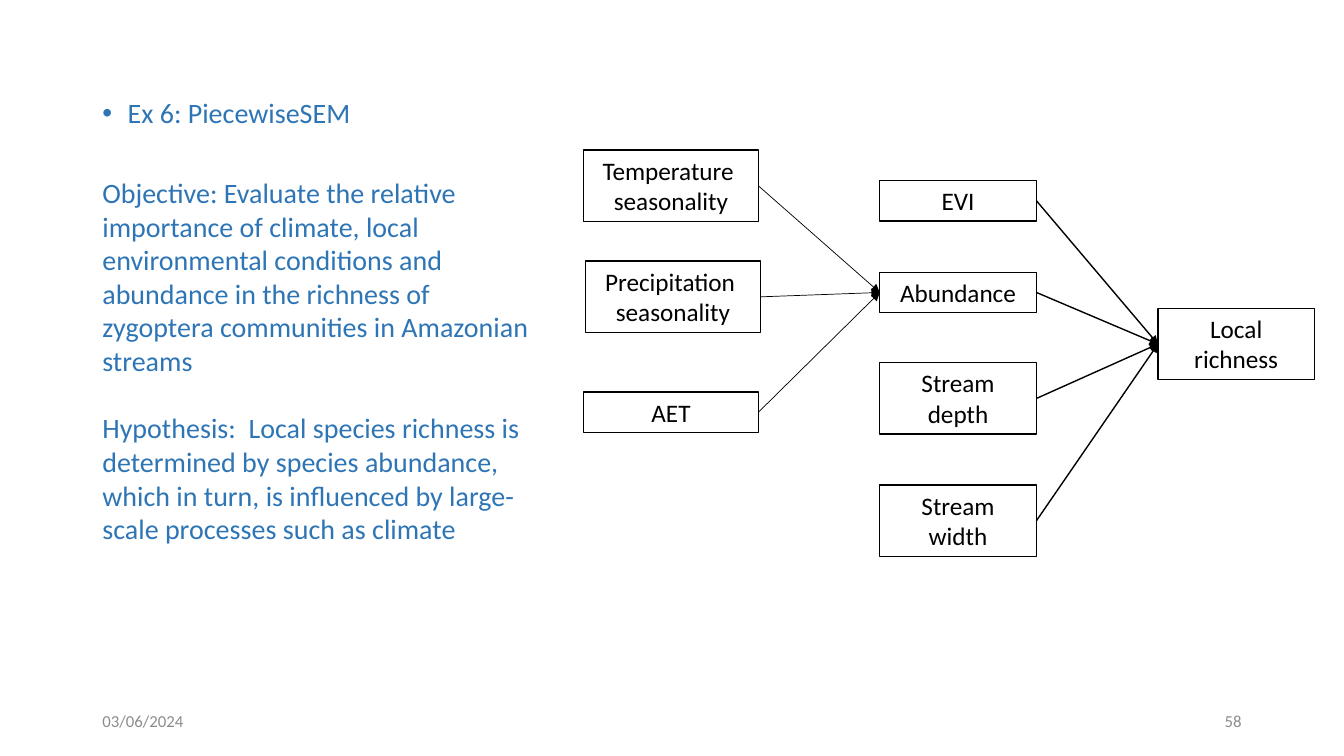
"""Build a slide with a study hypothesis and its path diagram of species richness."""
from lxml.etree import SubElement
from pptx import Presentation
from pptx.dml.color import RGBColor
from pptx.enum.shapes import MSO_CONNECTOR as Connector, MSO_SHAPE as Shape
from pptx.enum.text import MSO_ANCHOR as Anchor, MSO_AUTO_SIZE as AutoSize, PP_ALIGN as Align
from pptx.oxml.ns import qn
from pptx.util import Cm, Pt


def paint(color_format, hex_color):
    """Set a colour from a hex string."""
    color_format.rgb = RGBColor.from_string(hex_color)


def add_text(paragraph, text, size, hex_color, alignment=Align.LEFT):
    """Add one Calibri run to a paragraph."""
    paragraph.alignment = alignment
    run = paragraph.add_run()
    run.text = text
    run.font.name = "Calibri"
    run.font.size = Pt(size)
    paint(run.font.color, hex_color)


presentation = Presentation()
presentation.slide_width = Cm(33.87)
presentation.slide_height = Cm(19.05)
slide = presentation.slides.add_slide(presentation.slide_layouts[6])

body = slide.shapes.add_textbox(Cm(2.33), Cm(2.39), Cm(11.28), Cm(14.78)).text_frame
body.word_wrap = True
heading = body.paragraphs[0]
heading.line_spacing = 0.9
properties = heading._p.get_or_add_pPr()
properties.set("marL", str(Cm(0.64)))
properties.set("indent", str(-Cm(0.64)))
SubElement(properties, qn("a:buFont"), typeface="Arial")
SubElement(properties, qn("a:buChar"), char="•")
add_text(heading, "Ex 6: PiecewiseSEM", 20, "2E75B6")

statements = [
    ("Objective: Evaluate the relative importance of climate, local environmental "
     "conditions and abundance in the richness of zygoptera communities in "
     "Amazonian streams", 32.5),
    ("Hypothesis:  Local species richness is determined by species abundance, which "
     "in turn, is influenced by large-scale processes such as climate", 24),
]
for text, space_before in statements:
    paragraph = body.add_paragraph()
    paragraph.space_before = Pt(space_before)
    add_text(paragraph, text, 20, "2E75B6")

for left, text, alignment in [(2.33, "03/06/2024", Align.LEFT), (23.92, "58", Align.RIGHT)]:
    footer = slide.shapes.add_textbox(Cm(left), Cm(17.66), Cm(7.62), Cm(1.01)).text_frame
    footer.word_wrap = True
    footer.vertical_anchor = Anchor.MIDDLE
    add_text(footer.paragraphs[0], text, 12, "8C8C8C", alignment)

CLIMATE_WIDTH, LOCAL_WIDTH = 4.4, 3.95
ONE_LINE, TWO_LINES = 1.02, 1.8
variables = [
    ("temperature", ["Temperature ", "seasonality"], 14.71, 3.78, CLIMATE_WIDTH, TWO_LINES),
    ("precipitation", ["Precipitation ", "seasonality"], 14.76, 6.58, CLIMATE_WIDTH, TWO_LINES),
    ("aet", ["AET"], 14.71, 9.88, CLIMATE_WIDTH, ONE_LINE),
    ("abundance", ["Abundance"], 22.17, 6.86, LOCAL_WIDTH, ONE_LINE),
    ("richness", ["Local", "richness"], 29.18, 7.77, LOCAL_WIDTH, TWO_LINES),
    ("evi", ["EVI"], 22.17, 4.55, LOCAL_WIDTH, ONE_LINE),
    ("width", ["Stream width"], 22.17, 12.22, LOCAL_WIDTH, TWO_LINES),
    ("depth", ["Stream depth"], 22.17, 9.14, LOCAL_WIDTH, TWO_LINES),
]
boxes = {}
for name, lines, left, top, width, height in variables:
    box = slide.shapes.add_shape(Shape.RECTANGLE, Cm(left), Cm(top), Cm(width), Cm(height))
    box.shadow.inherit = False
    box.fill.background()
    paint(box.line.color, "000000")
    box.line.width = Pt(1)
    frame = box.text_frame
    frame.word_wrap = True
    frame.auto_size = AutoSize.SHAPE_TO_FIT_TEXT
    frame.vertical_anchor = Anchor.TOP
    for index, line in enumerate(lines):
        paragraph = frame.add_paragraph() if index else frame.paragraphs[0]
        add_text(paragraph, line, 18, "000000", Align.CENTER)
    boxes[name] = box

paths = [
    ("abundance", ["temperature", "precipitation", "aet"], 0.5),
    ("richness", ["evi", "abundance", "depth", "width"], 1),
]
for response, predictors, line_width in paths:
    for predictor in predictors:
        arrow = slide.shapes.add_connector(Connector.STRAIGHT, 0, 0, 0, 0)
        arrow.begin_connect(boxes[predictor], 3)
        arrow.end_connect(boxes[response], 1)
        paint(arrow.line.color, "000000")
        arrow.line.width = Pt(line_width)
        SubElement(arrow.line._get_or_add_ln(), qn("a:tailEnd"), type="triangle")
        SubElement(arrow._element.spPr, qn("a:effectLst"))

presentation.save("out.pptx")
